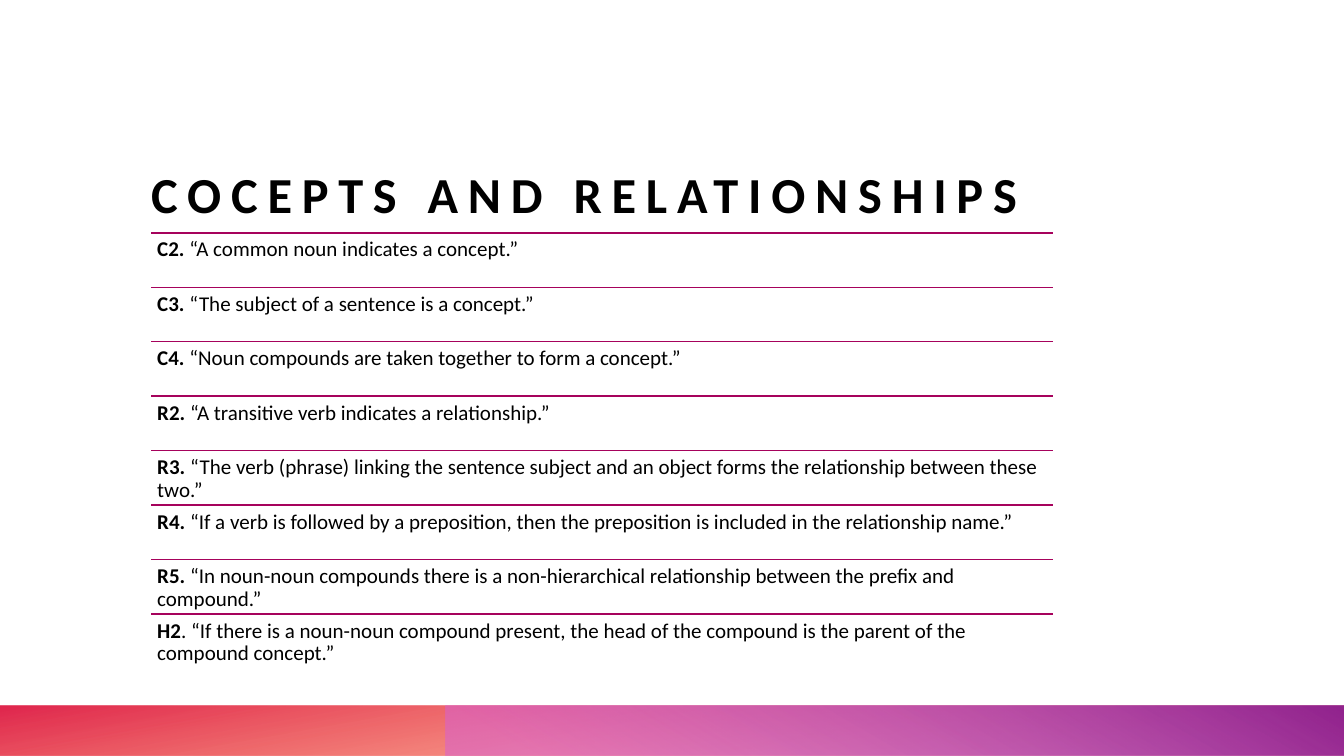
"""Build a slide that lists the rules for finding concepts and relationships."""
import pptx
import pptx.dml.color
import pptx.enum.shapes
import pptx.enum.text
import pptx.util
import lxml.etree

THEME = {
    "font": "Calibri", "text": "000000", "rule": "A6025C",
    "title_size": 36, "body_size": 15, "rule_width": 1, "title_spacing": 7,
    "warm": [(0.14, "FE4A00", 28), (1, "DA002F", 85)],
    "violet": [(0.09, "D861D4", 55), (0.99, "92248E", 100)],
}
WIDTH, HEIGHT = 13.33, 7.5
LEFT, TOP = 1.5, 2.31
COL_WIDTH, ROW_HEIGHT = 8.94, 0.54
BAND_HEIGHT = HEIGHT / 15
INSET = 0.06
RULES = [
    ("C2. ", "“A common noun indicates a concept.”"),
    ("C3. ", "“The subject of a sentence is a concept.”"),
    ("C4. ", "“Noun compounds are taken together to form a concept.”"),
    ("R2. ", "“A transitive verb indicates a relationship.”"),
    ("R3. ", "“The verb (phrase) linking the sentence subject and an object "
             "forms the relationship between these two.”"),
    ("R4. ", "“If a verb is followed by a preposition, then the preposition "
             "is included in the relationship name.”"),
    ("R5. ", "“In noun-noun compounds there is a non-hierarchical relationship "
             "between the prefix and compound.”"),
    ("H2", ". “If there is a noun-noun compound present, the head of the "
           "compound is the parent of the compound concept.”"),
]

Inches = pptx.util.Inches
rgb = pptx.dml.color.RGBColor.from_string


def add_text_box(s, left, top, width, height, inset, anchor):
    """Add a wrapping text box and return its first paragraph."""
    sp = s.shapes.add_textbox(*map(Inches, (left, top, width, height)))
    tf = sp.text_frame
    tf.word_wrap = True
    tf.vertical_anchor = anchor
    tf.margin_left = tf.margin_right = Inches(inset)
    tf.margin_top = tf.margin_bottom = Inches(inset)
    return tf.paragraphs[0]


def add_run(p, text, size, bold):
    """Add one styled run to a paragraph and return it."""
    r = p.add_run()
    r.text = text
    r.font.name = THEME["font"]
    r.font.size = pptx.util.Pt(size)
    r.font.bold = bold
    r.font.color.rgb = rgb(THEME["text"])
    return r


prs = pptx.Presentation()
prs.slide_width, prs.slide_height = Inches(WIDTH), Inches(HEIGHT)
s = prs.slides.add_slide(prs.slide_layouts[6])

for left, stops, angle in ((0, THEME["warm"], 100), (4.42, THEME["violet"], 60)):
    sp = s.shapes.add_shape(
        pptx.enum.shapes.MSO_SHAPE.RECTANGLE, Inches(left),
        Inches(HEIGHT - BAND_HEIGHT), Inches(WIDTH - left), Inches(BAND_HEIGHT))
    sp.shadow.inherit = False
    sp.line.fill.background()
    sp.fill.gradient()
    sp.fill.gradient_angle = angle
    for stop, (position, color, _) in zip(sp.fill.gradient_stops, stops):
        stop.position = position
        stop.color.rgb = rgb(color)
    colors = sp._element.spPr.xpath(".//a:gs/a:srgbClr")
    for clr, (_, _, opacity) in zip(colors, stops):
        alpha = lxml.etree.SubElement(clr, pptx.oxml.ns.qn("a:alpha"))
        alpha.set("val", str(opacity * 1000))

p = add_text_box(s, LEFT, 0.87, 11.2, 1.35, 0, pptx.enum.text.MSO_ANCHOR.BOTTOM)
r = add_run(p, "COCEPTS AND RELATIONSHIPS", THEME["title_size"], True)
r.font._element.set("spc", str(THEME["title_spacing"] * 100))

for row, (label, statement) in enumerate(RULES):
    top = TOP + row * ROW_HEIGHT
    line = s.shapes.add_connector(
        pptx.enum.shapes.MSO_CONNECTOR.STRAIGHT, Inches(LEFT), Inches(top),
        Inches(LEFT + COL_WIDTH), Inches(top))
    line.line.color.rgb = rgb(THEME["rule"])
    line.line.width = pptx.util.Pt(THEME["rule_width"])
    lxml.etree.SubElement(line._element.spPr, pptx.oxml.ns.qn("a:effectLst"))

    p = add_text_box(s, LEFT, top, COL_WIDTH, ROW_HEIGHT, INSET,
                     pptx.enum.text.MSO_ANCHOR.TOP)
    p.line_spacing = 0.9
    add_run(p, label, THEME["body_size"], True)
    add_run(p, statement, THEME["body_size"], False)

prs.save("out.pptx")
